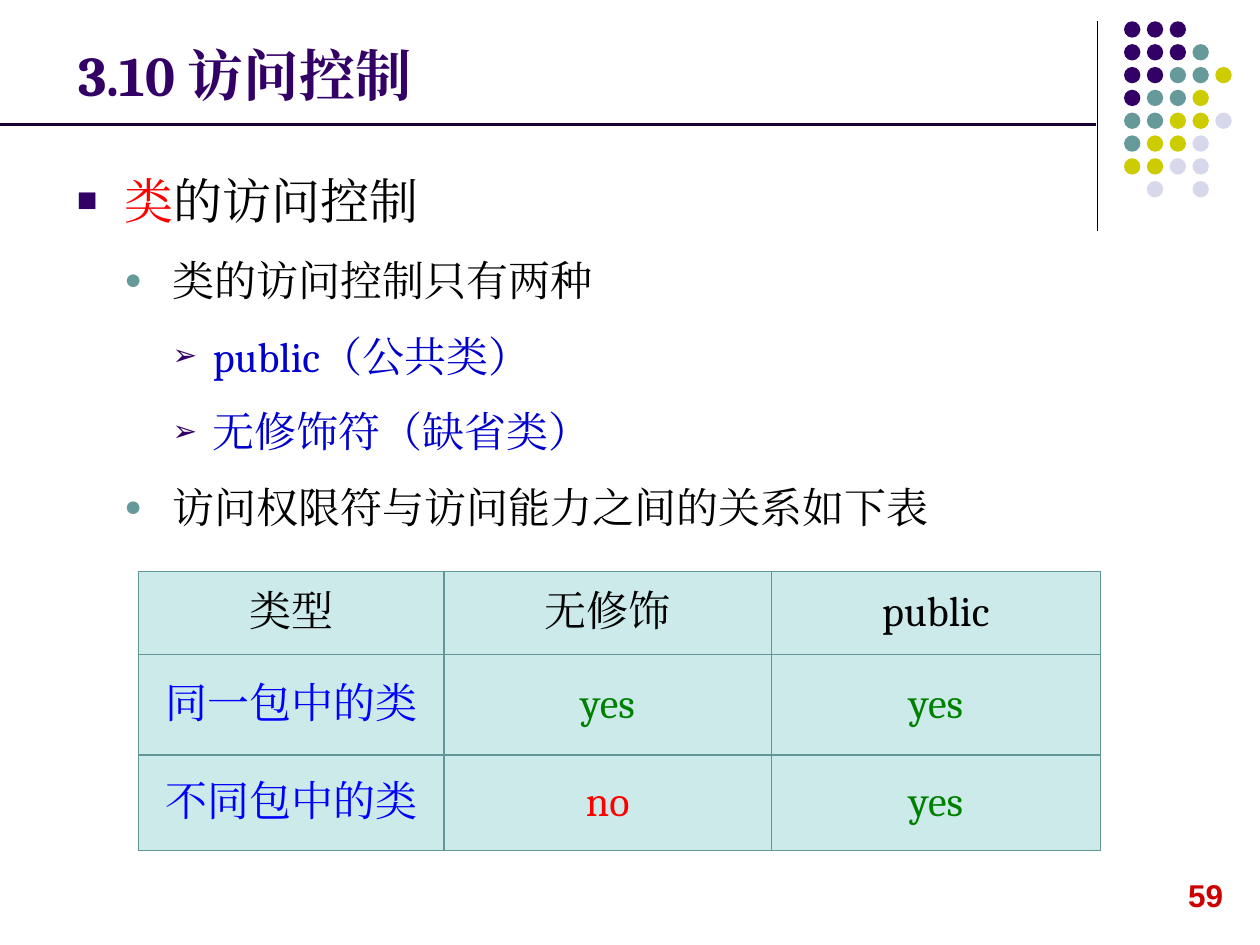
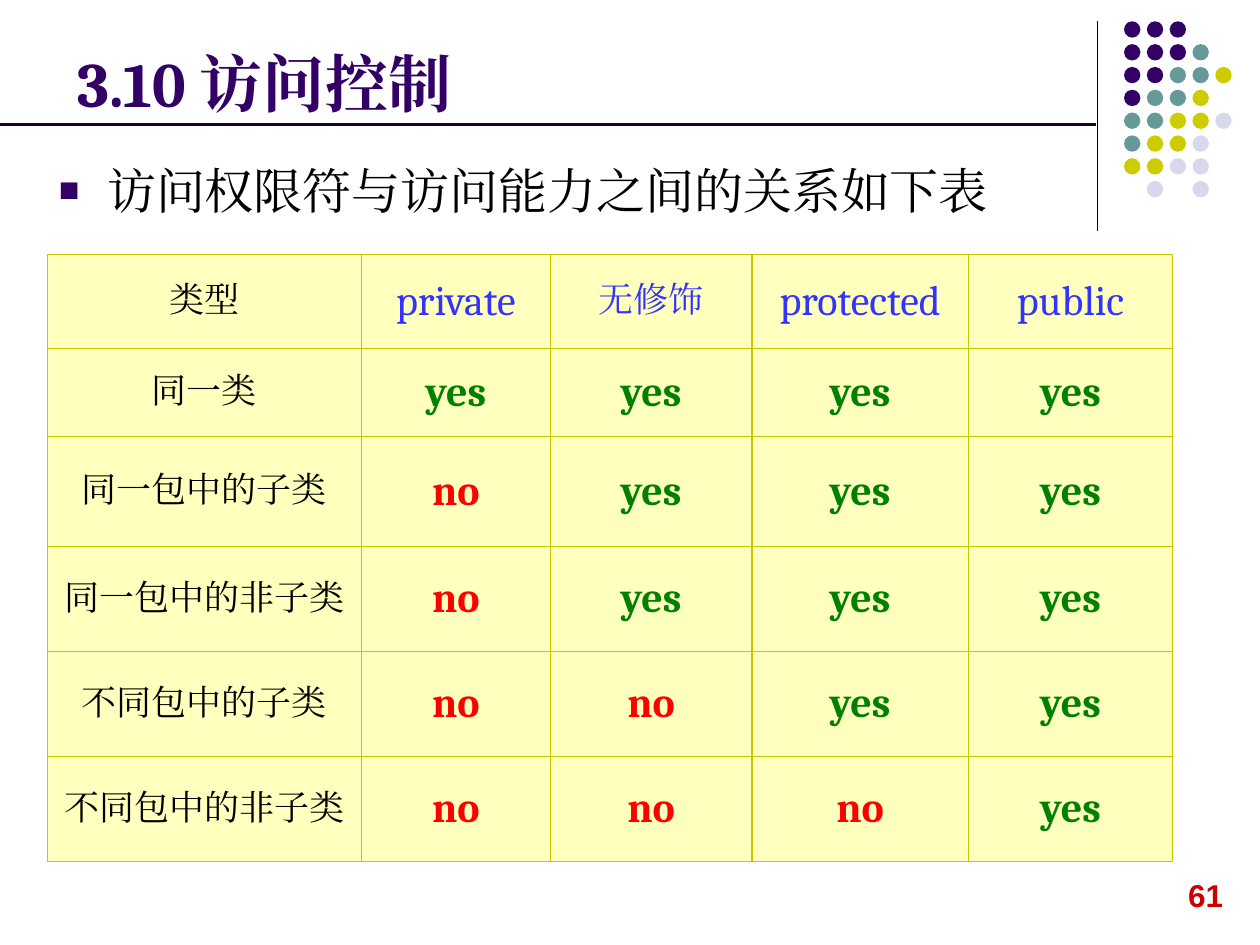
"""Build two slides on class and member access control."""
from lxml.etree import SubElement
from pptx import Presentation
from pptx.dml.color import RGBColor
from pptx.enum.shapes import MSO_CONNECTOR, MSO_SHAPE
from pptx.enum.text import MSO_ANCHOR, PP_ALIGN
from pptx.oxml.ns import qn
from pptx.util import Cm, Pt

COLORS = {
    "purple": "330066", "teal": "669999", "olive": "CCCC00", "lilac": "D8D8EC",
    "rule": "190033", "black": "000000", "red": "FF0000", "green": "008000",
    "navy": "0000CC", "blue": "0000FF", "violet": "3333FF", "page": "CC0000",
    "aqua": "CCEAEA", "aqua_edge": "639797", "cream": "FFFFBE", "cream_edge": "C8C800",
}
VERDICTS = {"yes": "green", "no": "red"}
DOT_ROWS = ["PPP", "PPPT", "PPTTY", "PTTY", "TTYYL", "TYYL", "YYLL", ".L.L"]
DOT_COLORS = {"P": "purple", "T": "teal", "Y": "olive", "L": "lilac"}
DOT_PITCH, DOT_SIZE = 0.46, 0.33

BULLETS = [
    {"mark": "■", "color": "purple", "left": 0.97, "hang": 0.97, "size": 28},
    {"mark": "●", "color": "teal", "left": 1.93, "hang": 0.97, "size": 24},
    {"mark": "➢", "color": "purple", "left": 2.74, "hang": 0.81, "size": 24},
]

SLIDES = [
    {
        "page": "59",
        "title": ("3.10 访问控制", 32, (1.32, 0.69, 20.96, 1.6)),
        "points_box": (1.3, 2.72, 22.86, 14.4),
        "points": [
            (0, [("类", "red"), ("的访问控制", "black")]),
            (1, [("类的访问控制只有两种", "black")]),
            (2, [("public（公共类）", "navy")]),
            (2, [("无修饰符（缺省类）", "navy")]),
            (1, [("访问权限符与访问能力之间的关系如下表", "black")]),
        ],
        "access": {
            "corner": (2.79, 11.52),
            "columns": [6.16, 6.6, 6.63],
            "heights": [1.68, 2.02, 1.92],
            "fill": "aqua", "edge": "aqua_edge",
            "chinese_size": 24, "modifier": "black", "scope": "blue", "bold": False,
            "rows": [
                ["类型", "无修饰", "public"],
                ["同一包中的类", "yes", "yes"],
                ["不同包中的类", "no", "yes"],
            ],
        },
    },
    {
        "page": "61",
        "title": ("3.10 访问控制", 36, (1.3, 0.53, 20.96, 2.01)),
        "points_box": (0.94, 2.51, 20.19, 1.8),
        "points": [(0, [("访问权限符与访问能力之间的关系如下表", "black")])],
        "access": {
            "corner": (0.95, 5.13),
            "columns": [6.34, 3.8, 4.07, 4.36, 4.12],
            "heights": [1.9, 1.77, 2.22, 2.12, 2.11, 2.11],
            "fill": "cream", "edge": "cream_edge",
            "chinese_size": 20, "modifier": "violet", "scope": "black", "bold": True,
            "rows": [
                ["类型", "private", "无修饰", "protected", "public"],
                ["同一类", "yes", "yes", "yes", "yes"],
                ["同一包中的子类", "no", "yes", "yes", "yes"],
                ["同一包中的非子类", "no", "yes", "yes", "yes"],
                ["不同包中的子类", "no", "no", "yes", "yes"],
                ["不同包中的非子类", "no", "no", "no", "yes"],
            ],
        },
    },
]


def rgb(color):
    return RGBColor.from_string(COLORS[color])


def write(paragraph, text, size=24, color="black", bold=False, font="Cambria"):
    run = paragraph.add_run()
    run.text = text
    run.font.size, run.font.bold, run.font.name = Pt(size), bold, font
    run.font.color.rgb = rgb(color)
    SubElement(run.font._element, qn("a:ea"), typeface=font)


def add_rule(slide, start, end, color, width):
    rule = slide.shapes.add_connector(
        MSO_CONNECTOR.STRAIGHT, *map(Cm, start), *map(Cm, end))
    rule.line.color.rgb, rule.line.width = rgb(color), Pt(width)
    SubElement(rule._element.spPr, qn("a:effectLst"))


def add_frame(slide, page):
    add_rule(slide, (22.12, 0.43), (22.12, 4.65), "black", 0.75)
    add_rule(slide, (0, 2.51), (22.1, 2.51), "rule", 2.25)
    for row, pattern in enumerate(DOT_ROWS):
        for column, key in enumerate(pattern):
            if key == ".":
                continue
            dot = slide.shapes.add_shape(
                MSO_SHAPE.OVAL, Cm(22.66 + column * DOT_PITCH),
                Cm(0.43 + row * DOT_PITCH), Cm(DOT_SIZE), Cm(DOT_SIZE))
            dot.shadow.inherit = False
            dot.fill.solid()
            dot.fill.fore_color.rgb = rgb(DOT_COLORS[key])
            dot.line.fill.background()
    number = slide.shapes.add_textbox(Cm(23.7), Cm(17.53), Cm(1.22), Cm(1.02)).text_frame
    number.word_wrap = False
    write(number.paragraphs[0], page, size=18, color="page", bold=True, font="Arial")


def add_title(slide, text, size, box):
    title = slide.shapes.title
    title.left, title.top, title.width, title.height = map(Cm, box)
    title.text_frame.vertical_anchor = MSO_ANCHOR.BOTTOM
    heading = title.text_frame.paragraphs[0]
    heading.alignment = PP_ALIGN.LEFT
    write(heading, text, size=size, color="purple", bold=True)


def add_points(slide, box, points):
    frame = slide.shapes.add_textbox(*map(Cm, box)).text_frame
    frame.word_wrap = True
    for index, (level, parts) in enumerate(points):
        paragraph = frame.add_paragraph() if index else frame.paragraphs[0]
        bullet = BULLETS[level]
        paragraph.level = level
        paragraph.line_spacing = 1.5
        properties = paragraph._p.get_or_add_pPr()
        properties.set("marL", str(Cm(bullet["left"])))
        properties.set("indent", str(-Cm(bullet["hang"])))
        tint = SubElement(properties, qn("a:buClr"))
        SubElement(tint, qn("a:srgbClr"), val=COLORS[bullet["color"]])
        SubElement(properties, qn("a:buSzPct"), val="70000")
        SubElement(properties, qn("a:buFont"), typeface="Arial")
        SubElement(properties, qn("a:buChar"), char=bullet["mark"])
        for text, color in parts:
            write(paragraph, text, size=bullet["size"], color=color)


def add_borders(cell, color):
    properties = cell._tc.get_or_add_tcPr()
    for side in ("lnL", "lnR", "lnT", "lnB"):
        edge = SubElement(properties, qn(f"a:{side}"), w=str(Pt(0.75)))
        fill = SubElement(edge, qn("a:solidFill"))
        SubElement(fill, qn("a:srgbClr"), val=COLORS[color])


def add_access_table(slide, access):
    rows, columns, heights = access["rows"], access["columns"], access["heights"]
    table = slide.shapes.add_table(
        len(rows), len(columns), *map(Cm, access["corner"]),
        Cm(sum(columns)), Cm(sum(heights))).table
    table.first_row = table.horz_banding = False
    for column, width in zip(table.columns, columns):
        column.width = Cm(width)
    for row, height in zip(table.rows, heights):
        row.height = Cm(height)
    for r, row in enumerate(rows):
        for c, text in enumerate(row):
            cell = table.cell(r, c)
            add_borders(cell, access["edge"])
            cell.fill.solid()
            cell.fill.fore_color.rgb = rgb(access["fill"])
            cell.vertical_anchor = MSO_ANCHOR.MIDDLE
            paragraph = cell.text_frame.paragraphs[0]
            paragraph.alignment = PP_ALIGN.CENTER
            if r == 0:
                color = access["modifier"] if c else "black"
            else:
                color = VERDICTS.get(text, access["scope"])
            write(paragraph, text, color=color,
                  size=24 if text.isascii() else access["chinese_size"],
                  bold=access["bold"] and text in VERDICTS)


def main():
    deck = Presentation()
    deck.slide_width, deck.slide_height = Cm(25.4), Cm(19.05)
    for content in SLIDES:
        slide = deck.slides.add_slide(deck.slide_layouts[5])
        add_frame(slide, content["page"])
        add_title(slide, *content["title"])
        add_points(slide, content["points_box"], content["points"])
        add_access_table(slide, content["access"])
    deck.save("out.pptx")


if __name__ == "__main__":
    main()
